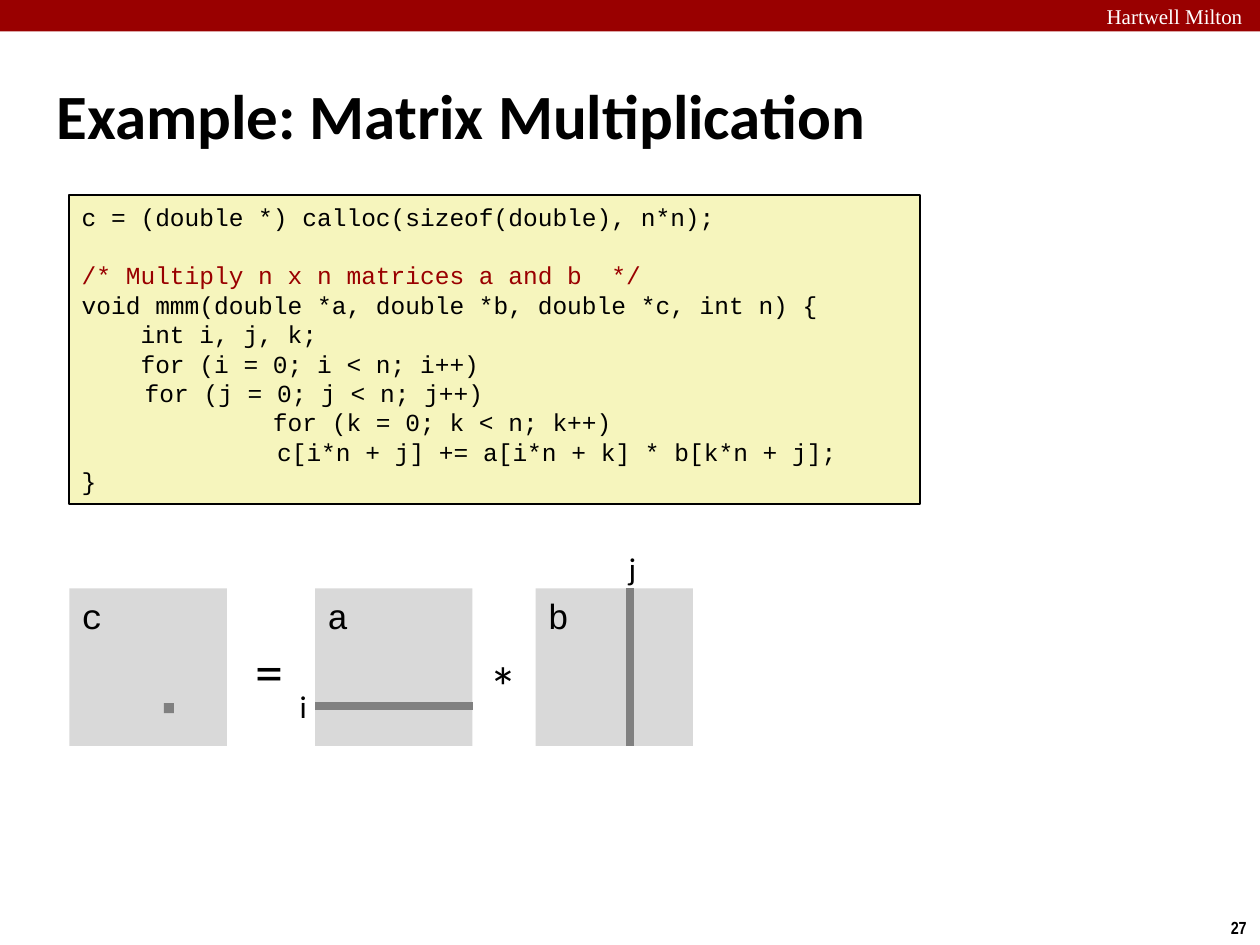
import pptx
import pptx.util
import pptx.dml.color
import pptx.enum.shapes
import pptx.enum.text
import pptx.oxml.ns
from lxml import etree

RGB = pptx.dml.color.RGBColor
BLACK = RGB(0x00, 0x00, 0x00)
WHITE = RGB(0xFF, 0xFF, 0xFF)
RED = RGB(0x99, 0x00, 0x00)
CREAM = RGB(0xF6, 0xF5, 0xBD)
LIGHT = RGB(0xD9, 0xD9, 0xD9)
GRAY = RGB(0x80, 0x80, 0x80)

EMU_PER_PX = 9144  # 100 px to the inch
LEFT = pptx.enum.text.PP_ALIGN.LEFT
RIGHT = pptx.enum.text.PP_ALIGN.RIGHT
TOP = pptx.enum.text.MSO_ANCHOR.TOP
MIDDLE = pptx.enum.text.MSO_ANCHOR.MIDDLE
CODE_FONT = "Courier New"
CODE_PITCH = 16.8


def px(length):
    return pptx.util.Emu(length * EMU_PER_PX)


class SlideWriter:
    def __init__(self, page, font="Calibri", color=BLACK):
        self.page = page
        self.font = font
        self.color = color

    def span(self, para, text, size, font=None, color=None, bold=False):
        span = para.add_run()
        span.text = text
        span.font.size = pptx.util.Pt(size)
        span.font.name = font or self.font
        span.font.color.rgb = self.color if color is None else color
        span.font.bold = bold

    def frame(self, box, anchor=TOP, wrap=True):
        frame = box.text_frame
        frame.word_wrap = wrap
        frame.vertical_anchor = anchor
        frame.margin_left = frame.margin_right = px(10)
        frame.margin_top = frame.margin_bottom = px(5)
        return frame

    def label(self, left, top, width, height, text, size, align=LEFT,
              anchor=TOP, wrap=False, **style):
        box = self.page.shapes.add_textbox(px(left), px(top), px(width), px(height))
        para = self.frame(box, anchor, wrap).paragraphs[0]
        para.alignment = align
        self.span(para, text, size, **style)

    def rect(self, left, top, width, height, fill, outline=None):
        box = self.page.shapes.add_shape(
            pptx.enum.shapes.MSO_SHAPE.RECTANGLE,
            px(left), px(top), px(width), px(height))
        box.shadow.inherit = False
        box.fill.solid()
        box.fill.fore_color.rgb = fill
        if outline is None:
            box.line.fill.background()
        else:
            box.line.color.rgb = outline
            box.line.width = pptx.util.Pt(1)
        return box

    def matrix(self, left, top, side, name):
        box = self.rect(left, top, side, side, LIGHT)
        para = self.frame(box).paragraphs[0]
        para.alignment = LEFT
        self.span(para, name, 20, font=CODE_FONT)

    def line(self, x1, y1, x2, y2, color, width):
        line = self.page.shapes.add_connector(
            pptx.enum.shapes.MSO_CONNECTOR.STRAIGHT, px(x1), px(y1), px(x2), px(y2))
        line.line.color.rgb = color
        line.line.width = pptx.util.Pt(width)
        etree.SubElement(line._element.spPr, pptx.oxml.ns.qn("a:effectLst"))

    def code(self, left, top, width, height, lines, tab):
        frame = self.frame(self.rect(left, top, width, height, CREAM, BLACK))
        for index, text in enumerate(lines):
            para = frame.paragraphs[0] if index == 0 else frame.add_paragraph()
            para.alignment = LEFT
            para.line_spacing = pptx.util.Pt(CODE_PITCH)
            comment = text.startswith("/*")
            if comment:
                para.space_before = pptx.util.Pt(CODE_PITCH)
            if text.startswith("\t"):
                stops = etree.SubElement(para._p.get_or_add_pPr(),
                                         pptx.oxml.ns.qn("a:tabLst"))
                etree.SubElement(stops, pptx.oxml.ns.qn("a:tab"),
                                 pos=str(px(tab)), algn="l")
            self.span(para, text, 14, font=CODE_FONT,
                      color=RED if comment else BLACK)


CODE = [
    "c = (double *) calloc(sizeof(double), n*n);",
    "/* Multiply n x n matrices a and b  */",
    "void mmm(double *a, double *b, double *c, int n) {",
    "    int i, j, k;",
    "    for (i = 0; i < n; i++)",
    "\tfor (j = 0; j < n; j++)",
    "             for (k = 0; k < n; k++)",
    "\t         c[i*n + j] += a[i*n + k] * b[k*n + j];",
    "}",
]


def main():
    deck = pptx.Presentation()
    deck.slide_width, deck.slide_height = px(1000), px(750)
    writer = SlideWriter(deck.slides.add_slide(deck.slide_layouts[6]))

    # Header band, page number and title
    writer.rect(0, 0, 1000, 25, RED)
    writer.label(850, 0, 146, 25, "Hartwell Milton", 12, align=RIGHT,
                 anchor=MIDDLE, font="Times New Roman", color=WHITE)
    writer.label(967, 723, 33, 27, "27", 10, font="Arial Narrow", bold=True)
    writer.label(35, 49, 830, 83, "Example: Matrix Multiplication", 36,
                 anchor=MIDDLE, wrap=True, bold=True)

    # Code listing
    writer.code(55, 155, 675, 245, CODE, tab=50)

    # Matrices c = a * b
    top, side = 467, 125
    lefts = {"c": 55, "a": 250, "b": 425}
    for name, left in lefts.items():
        writer.matrix(left, top, side, name)
    writer.label(193, 500, 43, 64, "=", 32)
    writer.label(379, 512, 43, 64, "*", 32)

    # Row i of a, column j of b and the resulting element of c
    row, column = 560, 500
    writer.line(lefts["a"], row, lefts["a"] + side, row, GRAY, 4.5)
    writer.line(column, top, column, top + side, GRAY, 4.5)
    writer.rect(lefts["c"] + column - lefts["b"], row - 2, 8, 8, GRAY)
    writer.label(228, 540, 26, 40, "i", 18)
    writer.label(489, 431, 27, 40, "j", 18)

    deck.save("out.pptx")


if __name__ == "__main__":
    main()
